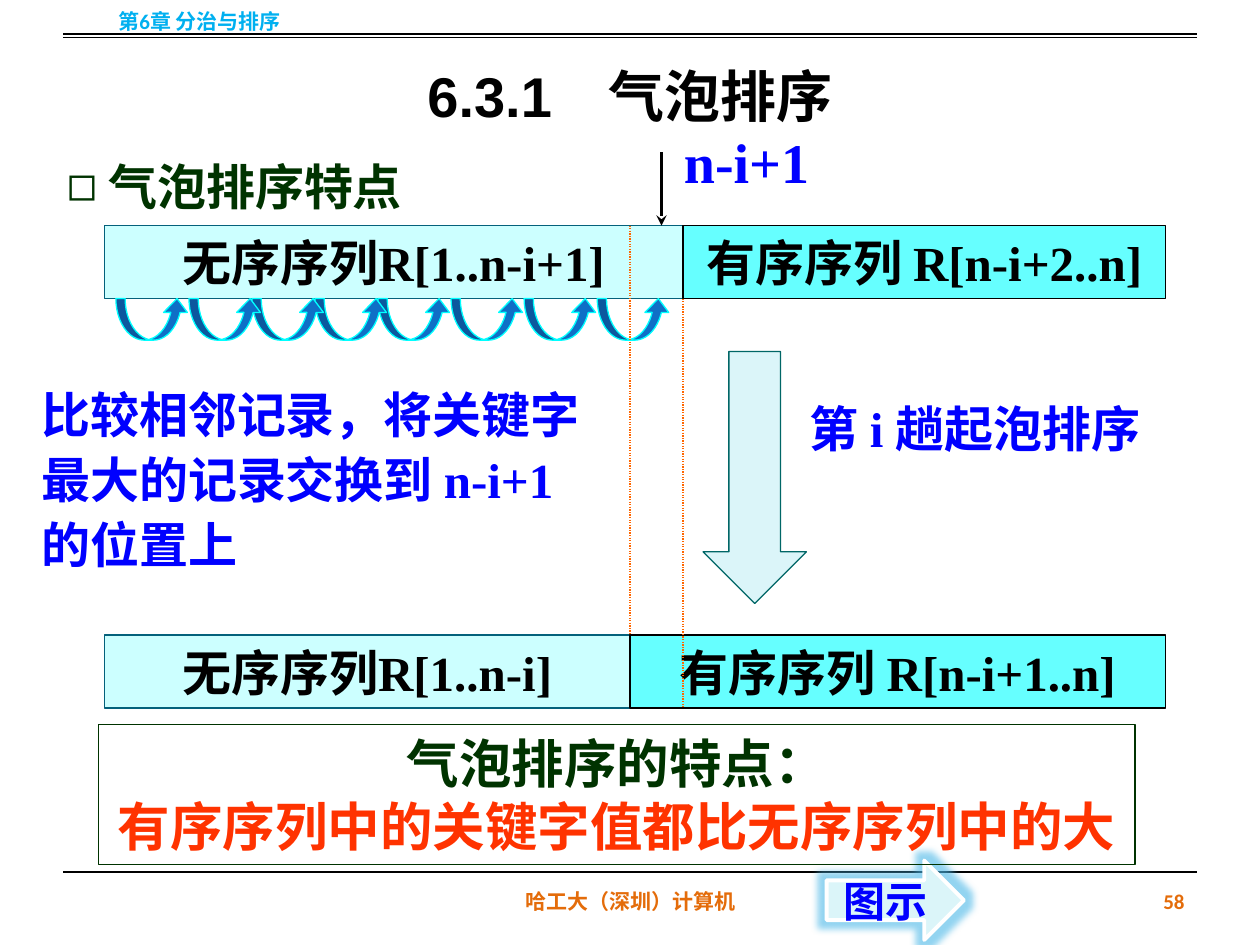
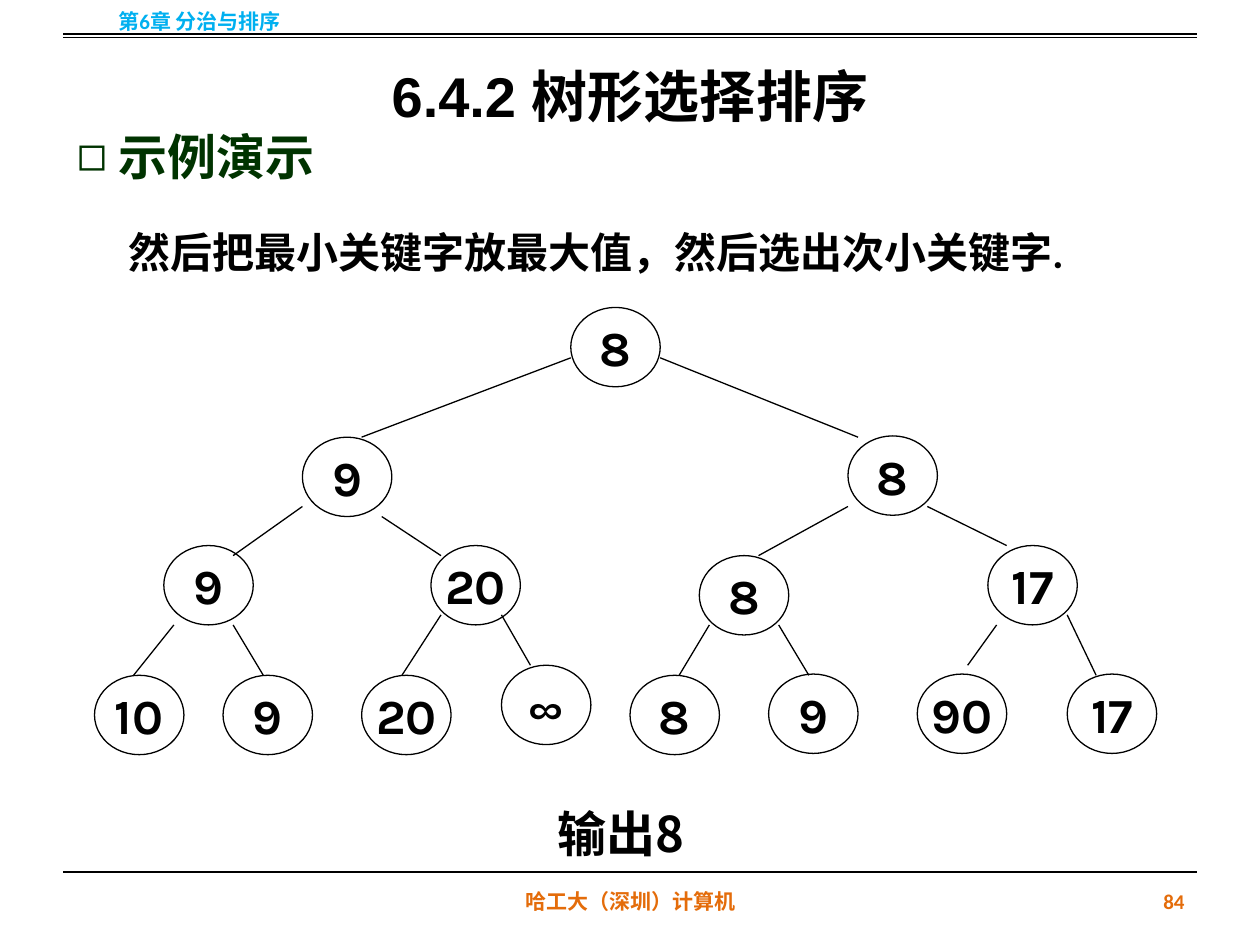
from itertools import accumulate

from lxml import etree
from pptx import Presentation
from pptx import util as u
from pptx.dml.color import RGBColor
from pptx.enum import dml, shapes, text
from pptx.oxml.ns import qn

COLORS = {
    "black": "000000", "white": "FFFFFF", "header": "00B0F0", "footer": "E46C0A",
    "heading": "003300", "note": "0000FF", "alert": "FF3300", "guide": "FF6600",
    "unsorted": "CCFFFF", "sorted": "66FFFF", "teal": "04617B", "pale": "DBF5F9",
    "arrow_edge": "006666", "swap": "0F6FC6", "swap_edge": "00FFFF", "glow": "4BB8E8",
}
SERIF, SANS, HAN, NODE_FONT = "Times New Roman", "Calibri", "Noto Sans CJK SC", "Karla"
LEFT, CENTER, RIGHT = text.PP_ALIGN.LEFT, text.PP_ALIGN.CENTER, text.PP_ALIGN.RIGHT
TOP, MIDDLE = text.MSO_ANCHOR.TOP, text.MSO_ANCHOR.MIDDLE
SHAPE = shapes.MSO_SHAPE


def rgb(name):
    return RGBColor.from_string(COLORS[name])


def set_values(target, values):
    for name, value in values.items():
        setattr(target, name, value)


def inches(*lengths):
    return [u.Inches(length) for length in lengths]


def write(shape, lines, size, font=SERIF, color="black", align=LEFT,
          anchor=TOP, wrap=True, spacing=1.0, bullet=None):
    frame = shape.text_frame
    set_values(frame, {"word_wrap": wrap, "vertical_anchor": anchor,
                       "auto_size": text.MSO_AUTO_SIZE.NONE})
    for index, line in enumerate([lines] if isinstance(lines, str) else lines):
        words, line_color = (line, color) if isinstance(line, str) else line
        paragraph = frame.add_paragraph() if index else frame.paragraphs[0]
        set_values(paragraph, {"alignment": align, "line_spacing": spacing,
                               "space_before": u.Pt(0), "space_after": u.Pt(0)})
        if bullet:
            properties = paragraph._p.get_or_add_pPr()
            properties.set("marL", str(u.Inches(0.33)))
            properties.set("indent", str(u.Inches(-0.33)))
            etree.SubElement(properties, qn("a:buChar"), char=bullet)
        run = paragraph.add_run()
        run.text = words
        set_values(run.font, {"size": u.Pt(size), "name": font, "bold": True})
        run.font.color.rgb = rgb(line_color)
        etree.SubElement(run._r.get_or_add_rPr(), qn("a:ea"), typeface=HAN)


def add_label(slide, box, words, size, **style):
    write(slide.shapes.add_textbox(*inches(*box)), words, size, **style)


def add_figure(slide, kind, box, fill=None, line="black", width=0.75, adjustments=()):
    shape = slide.shapes.add_shape(kind, *inches(*box))
    shape.shadow.inherit = False
    if fill:
        shape.fill.solid()
        shape.fill.fore_color.rgb = rgb(fill)
    else:
        shape.fill.background()
    shape.line.color.rgb = rgb(line)
    shape.line.width = u.Pt(width)
    for index, value in enumerate(adjustments):
        shape.adjustments[index] = value
    return shape


def add_line(slide, ends, color="black", width=0.75, dash=None, head=None):
    connector = slide.shapes.add_connector(shapes.MSO_CONNECTOR.STRAIGHT, *inches(*ends))
    connector.line.color.rgb = rgb(color)
    connector.line.width = u.Pt(width)
    if dash:
        connector.line.dash_style = dash
    if head:
        etree.SubElement(connector.line._get_or_add_ln(), qn("a:tailEnd"), type=head)
    etree.SubElement(connector._element.spPr, qn("a:effectLst"))


def place(placeholder, box):
    names = ("left", "top", "width", "height")
    set_values(placeholder, dict(zip(names, inches(*box))))


def add_base_slide(presentation, title, heading, heading_box, number):
    slide = presentation.slides.add_slide(presentation.slide_layouts[1])
    title_shape, body = slide.placeholders
    place(title_shape, (0.5, 0, 9, 1.25))
    write(title_shape, title, 32, font="Arial", align=CENTER, anchor=MIDDLE, spacing=1.5)
    place(body, heading_box)
    write(body, heading, 28, color="heading", bullet="◻")
    for y in (0.27, 0.3, 6.92):
        add_line(slide, (0.5, y, 9.5, y))
    for words, box, color, align in (
        ("第6章 分治与排序", (0, -0.03, 3.17, 0.4), "header", CENTER),
        ("哈工大（深圳）计算机", (3.42, 6.95, 3.17, 0.4), "footer", CENTER),
        (number, (7.17, 6.95, 2.33, 0.4), "footer", RIGHT),
    ):
        add_label(slide, box, words, 12, font=SANS, color=color, align=align, anchor=MIDDLE)
    return slide


def add_sequence(slide, box, split, unsorted_text, sorted_text):
    left, top, width, height = box
    for words, x, part, fill, line in (
        (unsorted_text, left, split, "unsorted", "teal"),
        (sorted_text, left + split, width - split, "sorted", "black"),
    ):
        bar = add_figure(slide, SHAPE.RECTANGLE, (x, top, part, height), fill, line)
        write(bar, words, 28, align=CENTER, anchor=MIDDLE, wrap=False)


def add_swaps(slide, left, top):
    steps = (0.58, 0.5, 0.5, 0.5, 0.58, 0.58, 0.58)
    for x in reversed(list(accumulate(steps, initial=left))):
        add_figure(slide, SHAPE.CURVED_UP_ARROW, (x, top, 0.58, 0.33), "swap",
                   "swap_edge", adjustments=(0.223, 0.573, 0.333))


def add_demo_button(slide, box):
    button = add_figure(slide, SHAPE.RIGHT_ARROW, box, "pale", "white", 2.25)
    effects = button._element.spPr.find(qn("a:effectLst"))
    glow = etree.SubElement(effects, qn("a:glow"), rad=str(u.Pt(8)))
    color = etree.SubElement(glow, qn("a:srgbClr"), val=COLORS["glow"])
    etree.SubElement(color, qn("a:alpha"), val="60000")
    write(button, "图示", 24, color="note", align=CENTER, anchor=MIDDLE, wrap=False)


def add_bubble_pass(slide, box):
    left, top, width, height = box
    bar = 0.58
    before, after = 4.59, 4.17
    lower = top + height - bar
    add_label(slide, (left + 5.5, top + 1.25, 3.67, 0.64), "第 i 趟起泡排序", 28,
              color="note", spacing=1.15)
    add_sequence(slide, (left, top, width, bar), before,
                 "无序序列R[1..n-i+1]", "有序序列 R[n-i+2..n]")
    add_line(slide, (left + 4.42, top - bar, left + 4.42, top), width=1.5, head="stealth")
    add_label(slide, (left + 4.5, top - 0.83, 1.2, 0.64), "n-i+1", 32,
              color="note", wrap=False)
    add_sequence(slide, (left, lower, width, bar), after,
                 "无序序列R[1..n-i]", "有序序列 R[n-i+1..n]")
    add_figure(slide, SHAPE.DOWN_ARROW, (left + 4.75, top + 1, 0.82, 2), "pale",
               "arrow_edge", adjustments=(0.5, 0.5))
    add_label(slide, (left - 0.6, top + 1.17, 4.6, 1.66),
              "比较相邻记录，将关键字最大的记录交换到 n-i+1 的位置上", 28,
              color="note", spacing=1.1)
    add_swaps(slide, left + 0.09, top + bar)
    for x, start, end in ((before, top + bar, lower + bar), (after, top, lower)):
        add_line(slide, (left + x, start, left + x, end), "guide",
                 dash=dml.MSO_LINE.ROUND_DOT)


def add_conclusion(slide, box):
    frame = add_figure(slide, SHAPE.RECTANGLE, box, line="heading")
    write(frame, ["气泡排序的特点：", ("有序序列中的关键字值都比无序序列中的大", "alert")],
          30, font=HAN, color="heading", align=CENTER, wrap=False)


def add_tree(slide, left, top):
    nodes = (
        ("8", 3.78, 0),
        ("9", 1.65, 1.03), ("8", 5.98, 1.02),
        ("9", 0.55, 1.89), ("20", 2.67, 1.89), ("8", 4.8, 1.97), ("17", 7.09, 1.89),
        ("10", 0, 2.92), ("9", 1.02, 2.92), ("20", 2.12, 2.92), ("∞", 3.23, 2.84),
        ("8", 4.25, 2.92), ("9", 5.35, 2.91), ("90", 6.53, 2.91), ("17", 7.72, 2.91),
    )
    branches = (
        (3.78, 0.4, 2.12, 1.03), (4.49, 0.4, 6.06, 1.03),
        (1.65, 1.58, 1.1, 1.97), (2.28, 1.66, 2.75, 1.97),
        (5.98, 1.58, 5.27, 1.97), (6.61, 1.58, 7.24, 1.89),
        (0.63, 2.52, 0.31, 2.92), (1.1, 2.52, 1.34, 2.92),
        (2.75, 2.44, 2.44, 2.92), (3.23, 2.44, 3.46, 2.84),
        (4.88, 2.52, 4.64, 2.92), (5.43, 2.52, 5.67, 2.92),
        (7.16, 2.52, 6.93, 2.84), (7.72, 2.44, 7.95, 2.92),
    )
    for key, x, y in nodes:
        node = add_figure(slide, SHAPE.OVAL, (left + x, top + y, 0.71, 0.63))
        write(node, key, 28, font=NODE_FONT, align=CENTER, anchor=MIDDLE, wrap=False)
    for x1, y1, x2, y2 in branches:
        add_line(slide, (left + x1, top + y1, left + x2, top + y2))


def build_bubble_slide(presentation):
    slide = add_base_slide(presentation, "6.3.1　气泡排序", "气泡排序特点",
                           (0.43, 1.19, 3.32, 0.57), "58")
    add_bubble_pass(slide, (0.83, 1.79, 8.42, 3.83))
    add_demo_button(slide, (6.56, 6.83, 1.09, 0.63))
    add_conclusion(slide, (0.78, 5.75, 8.23, 1.11))


def build_tree_slide(presentation):
    slide = add_base_slide(presentation, "6.4.2 树形选择排序", "示例演示",
                           (0.51, 0.95, 3.94, 0.57), "84")
    add_label(slide, (0.92, 1.75, 7.74, 0.5),
              "然后把最小关键字放最大值，然后选出次小关键字.", 24, font=SANS)
    add_tree(slide, 0.75, 2.44)
    add_label(slide, (4.33, 6.33, 1.53, 0.57), "输出8", 28, font=HAN)


def main():
    presentation = Presentation()
    set_values(presentation, {"slide_width": u.Inches(10), "slide_height": u.Inches(7.5)})
    build_bubble_slide(presentation)
    build_tree_slide(presentation)
    presentation.save("out.pptx")


if __name__ == "__main__":
    main()
